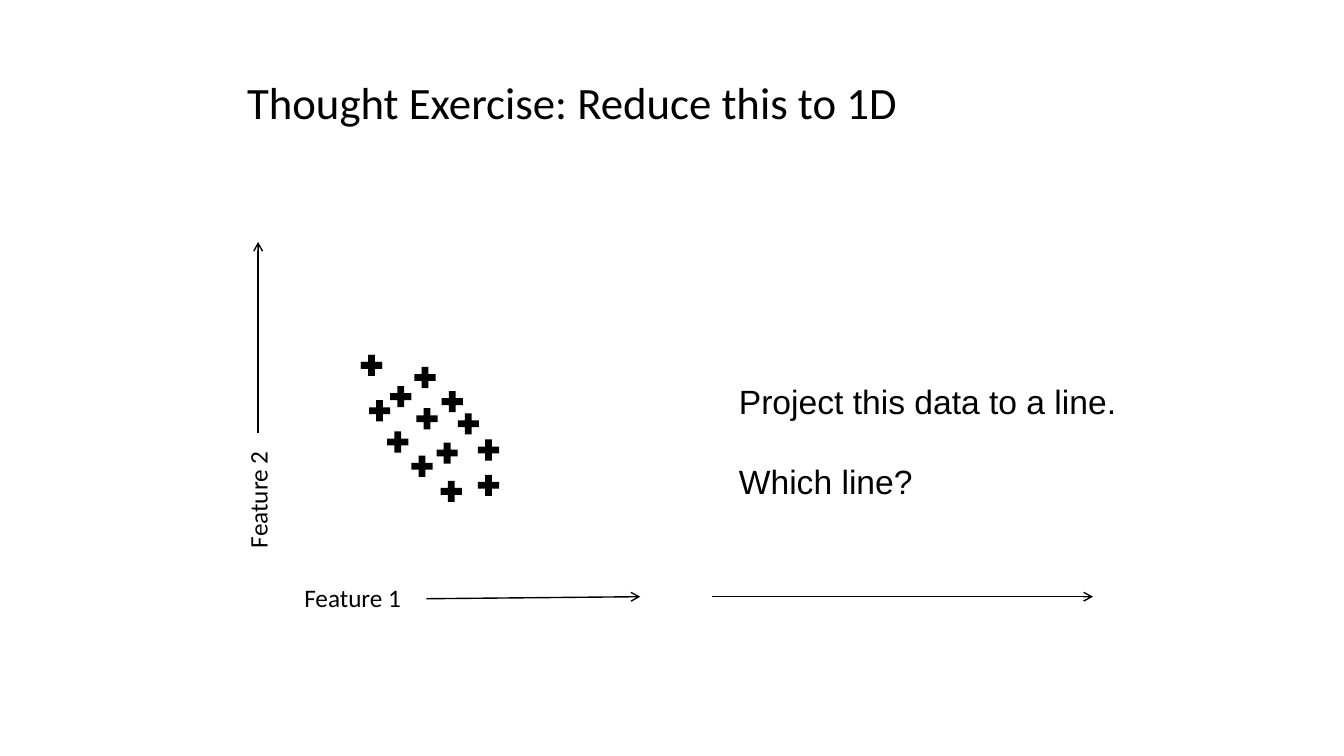
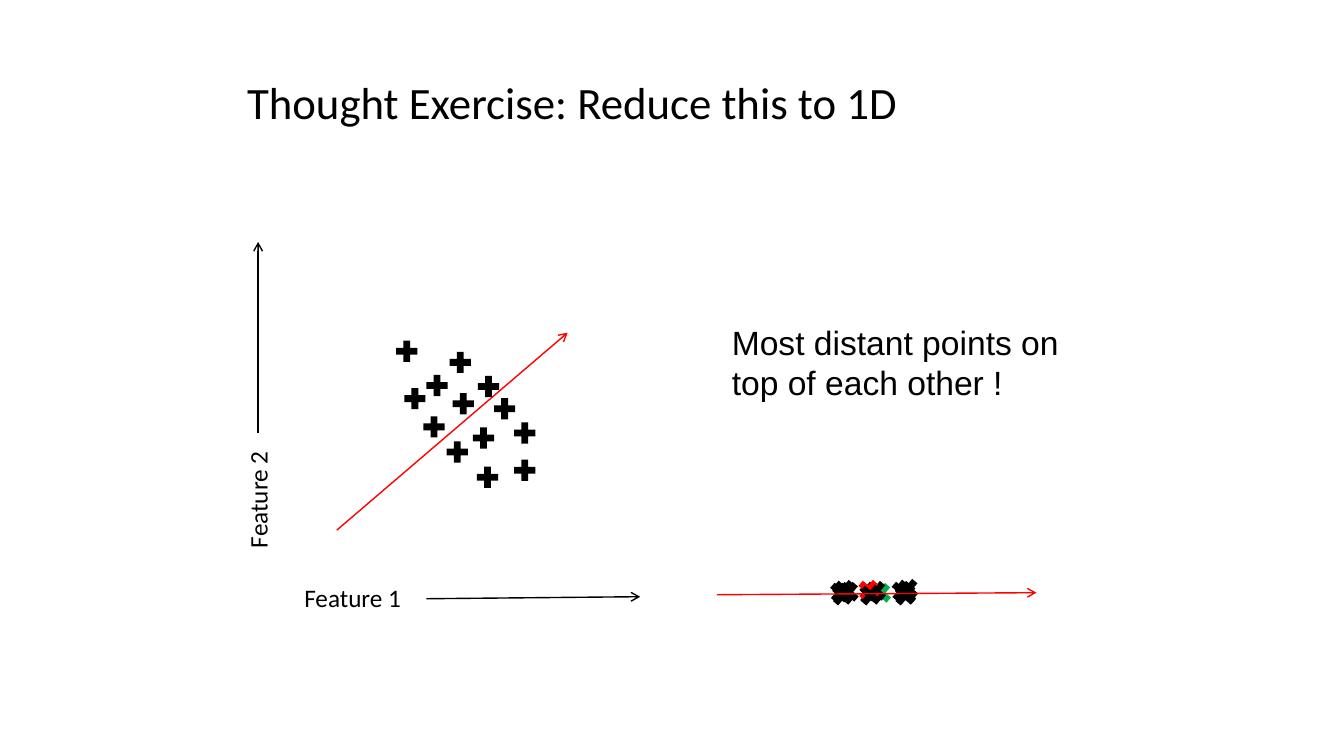
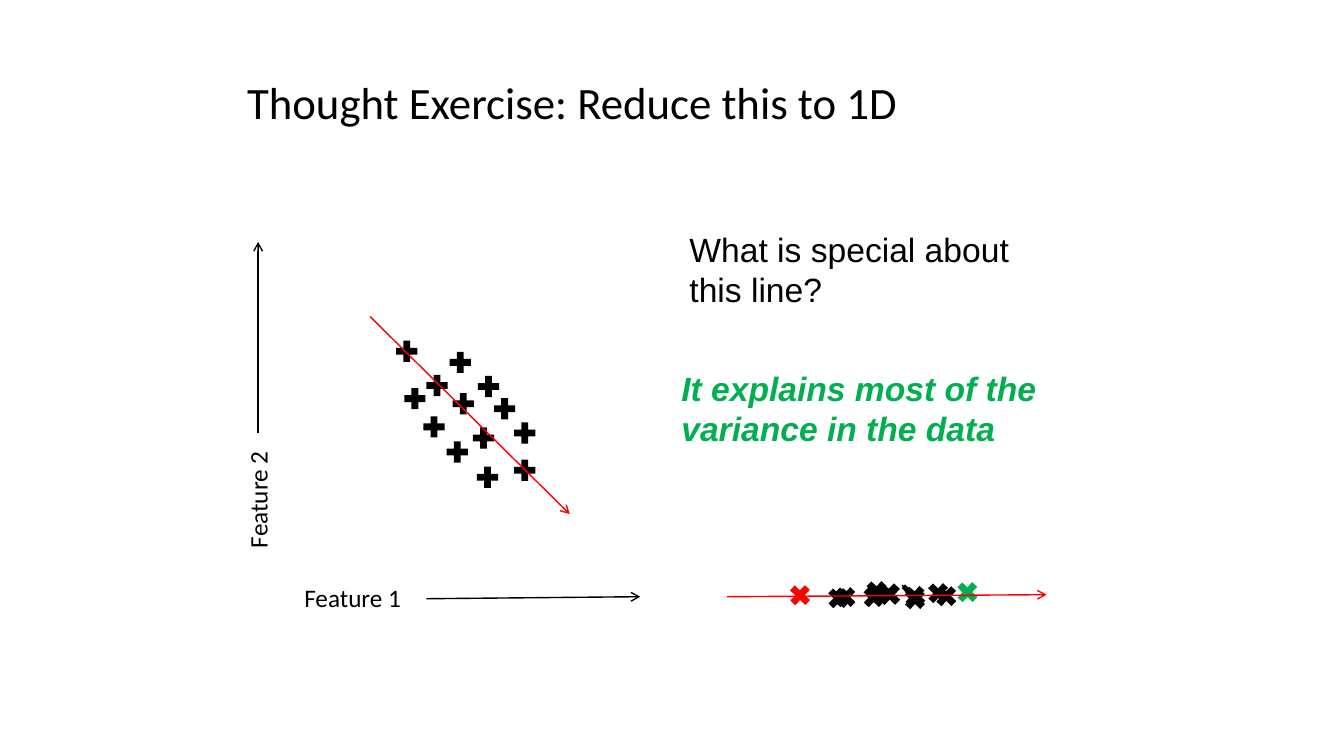
from dataclasses import dataclass

from lxml.etree import SubElement
from pptx import Presentation
from pptx.dml.color import RGBColor
from pptx.enum.shapes import MSO_CONNECTOR as CONNECTOR, MSO_SHAPE as SHAPE
from pptx.enum.text import MSO_ANCHOR as ANCHOR, MSO_AUTO_SIZE as AUTO_SIZE, PP_ALIGN as ALIGN
from pptx.oxml.ns import qn
from pptx.util import Inches, Pt


# Shared look
@dataclass(frozen=True)
class Theme:
    black: str = "000000"
    red: str = "FF0000"
    dark_red: str = "C00000"
    green: str = "00B050"
    heading_font: str = "Calibri"
    remark_font: str = "Arial"
    title_size: int = 32
    remark_size: int = 24
    axis_size: int = 18
    line_width: int = 1
    mark_size: float = 0.21
    mark_notch: float = 0.338


THEME = Theme()


@dataclass(frozen=True)
class Mark:
    x: float
    y: float
    color: str = THEME.black
    angle: float = 0
    width: float = THEME.mark_size
    height: float = THEME.mark_size


def marks(spots, angle=0):
    return [Mark(x, y, angle=angle) for x, y in spots]


# Data points, back to front
FIRST_CLOUD = [Mark(3.58, 3.52, THEME.dark_red)] + marks([
    (4.74, 4.71), (4.08, 4.52), (4.37, 4.77), (4.13, 4.05), (3.87, 3.83),
    (3.58, 3.52), (4.33, 4.39), (4.38, 3.88), (3.66, 3.97), (3.84, 4.28),
    (4.54, 4.1), (4.11, 3.64), (4.74, 4.36)])

CLOUD = marks([
    (5.1, 4.56), (4.43, 4.38), (4.73, 4.63), (4.49, 3.9), (4.23, 3.72),
    (3.93, 3.38), (4.69, 4.24), (4.74, 3.73), (4.01, 3.85), (4.2, 4.13),
    (4.9, 3.95), (4.46, 3.49), (5.1, 4.19)])

RISING, FALLING = 40.6, 313.7

OVERLAPPING = [
    Mark(8.63, 5.78, THEME.green, RISING),
    *marks([(8.25, 5.8), (8.31, 5.77), (8.58, 5.76), (8.52, 5.79)], RISING),
    Mark(8.51, 5.75, THEME.red, RISING),
    *marks([(8.53, 5.8), (8.9, 5.74), (8.27, 5.75), (8.23, 5.77),
            (8.87, 5.8), (8.84, 5.76), (8.88, 5.79)], RISING)]

SPREAD_OUT = [
    Mark(8.97, 5.81, angle=RISING),
    Mark(9.49, 5.77, THEME.green, FALLING),
    Mark(8.98, 5.78, angle=FALLING, width=0.05, height=0.16),
    *marks([(9.28, 5.81), (8.59, 5.76)], FALLING),
    Mark(7.83, 5.8, THEME.red, FALLING),
    *marks([(8.97, 5.84)], FALLING),
    Mark(8.71, 5.78, angle=FALLING, width=0.22, height=0.23),
    *marks([(8.21, 5.83), (8.56, 5.82), (8.28, 5.82), (9.2, 5.78)], FALLING)]


# Kinds of element
def style_text(paragraph, size, font, color=THEME.black, strong=False):
    for run in paragraph.runs:
        run.font.size = Pt(size)
        run.font.name = font
        run.font.color.rgb = RGBColor.from_string(color)
        if strong:
            run.font.bold = run.font.italic = True


def add_label(slide, box, lines, size=THEME.remark_size, font=THEME.remark_font,
              color=THEME.black, strong=False, wrap=False, gap=0, rotation=0):
    label = slide.shapes.add_textbox(*map(Inches, box))
    label.rotation = rotation
    frame = label.text_frame
    frame.word_wrap = wrap
    frame.auto_size = AUTO_SIZE.SHAPE_TO_FIT_TEXT
    frame.text = "\n".join(lines)
    for paragraph in frame.paragraphs:
        style_text(paragraph, size, font, color, strong)
    for paragraph in frame.paragraphs[1:]:
        paragraph.space_before = Pt(gap)


def add_arrow(slide, start, end, color=THEME.black):
    arrow = slide.shapes.add_connector(
        CONNECTOR.STRAIGHT, *map(Inches, (*start, *end)))
    arrow.line.color.rgb = RGBColor.from_string(color)
    arrow.line.width = Pt(THEME.line_width)
    properties = arrow.line._get_or_add_ln()
    SubElement(properties, qn("a:tailEnd"), type="arrow")
    SubElement(properties.getparent(), qn("a:effectLst"))


def add_marks(shapes, points):
    for point in points:
        plus = shapes.add_shape(SHAPE.CROSS, *map(
            Inches, (point.x, point.y, point.width, point.height)))
        plus.adjustments[0] = THEME.mark_notch
        plus.rotation = point.angle
        plus.shadow.inherit = False
        plus.fill.solid()
        plus.fill.fore_color.rgb = RGBColor.from_string(point.color)
        plus.line.fill.background()


def add_exercise(deck):
    """Add a slide with the title and the two feature axes."""
    slide = deck.slides.add_slide(deck.slide_layouts[5])
    title = slide.shapes.title
    title.left, title.top, title.width, title.height = map(
        Inches, (2.35, 0.58, 8.62, 0.75))
    frame = title.text_frame
    frame.text = "Thought Exercise: Reduce this to 1D"
    frame.vertical_anchor = ANCHOR.BOTTOM
    frame.auto_size = AUTO_SIZE.NONE
    heading = frame.paragraphs[0]
    heading.alignment = ALIGN.LEFT
    heading.line_spacing = 0.9
    style_text(heading, THEME.title_size, THEME.heading_font)

    for name, left, top, rotation in (("Feature 1", 2.92, 5.73, 0),
                                      ("Feature 2", 1.97, 4.75, 270)):
        add_label(slide, (left, top, 1.17, 0.4), [name], THEME.axis_size,
                  THEME.heading_font, rotation=rotation)
    add_arrow(slide, (4.23, 5.94), (6.35, 5.92))
    add_arrow(slide, (2.56, 4.3), (2.56, 2.4))
    return slide


def add_projection(deck, direction, projected, target):
    """Add an exercise whose cloud is projected along a direction."""
    slide = add_exercise(deck)
    add_marks(slide.shapes.add_group_shape().shapes, CLOUD)
    add_arrow(slide, *direction, THEME.red)
    add_marks(slide.shapes, projected)
    add_arrow(slide, *target, THEME.red)
    return slide


def main():
    deck = Presentation()
    deck.slide_width, deck.slide_height = Inches(13.33), Inches(7.5)

    # The question
    question = add_exercise(deck)
    add_marks(question.shapes, FIRST_CLOUD)
    add_arrow(question, (7.06, 5.92), (10.84, 5.92))
    add_label(question, (7.23, 3.73, 3.98, 1.31),
              ["Project this data to a line.", "Which line?"], gap=28)

    # A poor line
    poor = add_projection(deck, ((3.34, 5.26), (5.63, 3.3)), OVERLAPPING,
                          ((7.11, 5.9), (10.28, 5.88)))
    add_label(poor, (7.16, 3.14, 3.93, 0.91),
              ["Most distant points on top of each other !"], wrap=True)

    # The best line
    best = add_projection(deck, ((3.67, 3.14), (5.65, 5.1)), SPREAD_OUT,
                          ((7.21, 5.92), (10.38, 5.9)))
    add_label(best, (6.74, 2.22, 3.4, 0.91),
              ["What is special about", "this line?"])
    add_label(best, (6.66, 3.6, 5, 0.91),
              ["It explains most of the variance in the data"],
              color=THEME.green, strong=True, wrap=True)

    deck.save("out.pptx")


if __name__ == "__main__":
    main()
